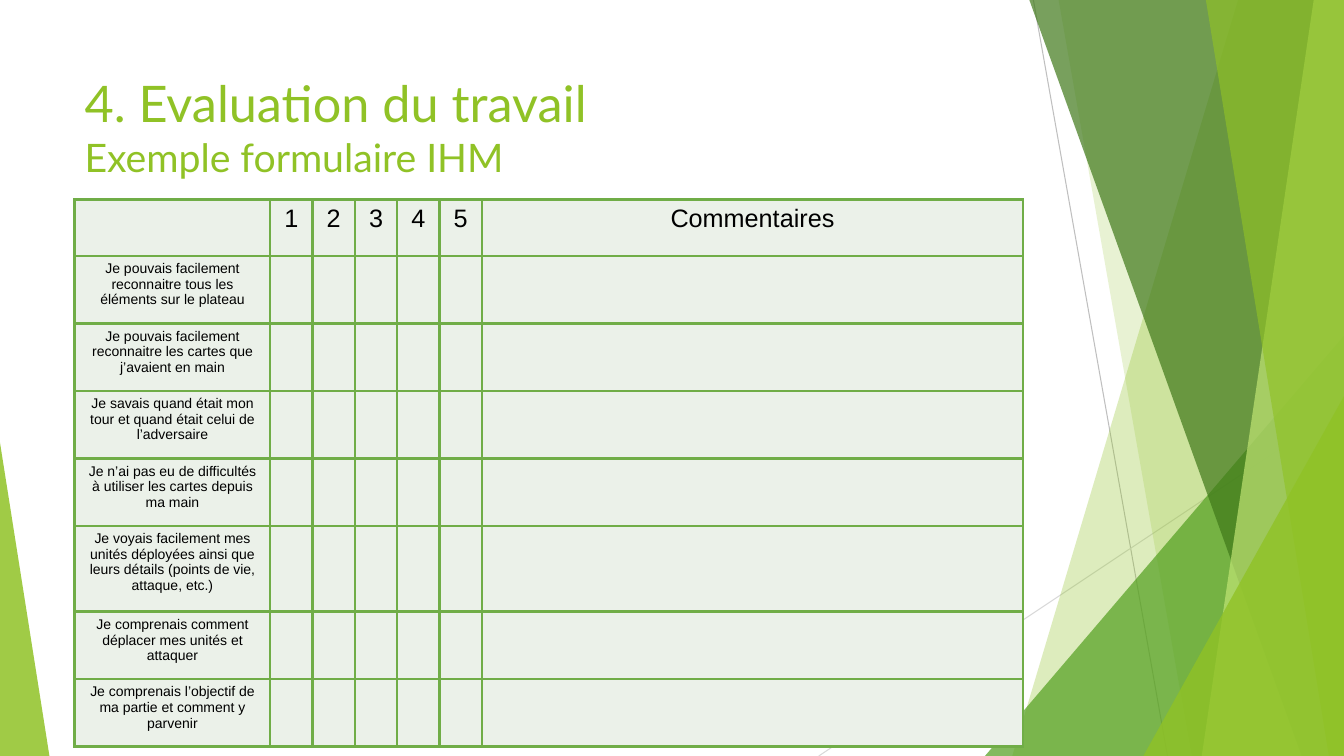
from pptx import Presentation, util as u
from pptx.dml.color import RGBColor
from pptx.enum import text
from pptx.oxml import parse_xml
from pptx.oxml.ns import nsdecls, qn
from lxml import etree

TITLE = [("4. Evaluation du travail", "head"), ("Exemple formulaire IHM", "sub")]
MARKS = ["1", "2", "3", "4", "5"]
NOTES = "Commentaires"
ASKS = [
    "Je pouvais facilement reconnaitre tous les éléments sur le plateau",
    "Je pouvais facilement reconnaitre les cartes que j’avaient en main",
    "Je savais quand était mon tour et quand était celui de l’adversaire",
    "Je n’ai pas eu de difficultés à utiliser les cartes depuis ma main",
    "Je voyais facilement mes unités déployées ainsi que leurs détails (points de vie, attaque, etc.)",
    "Je comprenais comment déplacer mes unités et attaquer",
    "Je comprenais l’objectif de ma partie et comment y parvenir",
]
THEME = {
    "lime": "90C226", "leaf": "54A021", "moss": "3F7819", "pale": "C0E474",
    "grey": "BFBFBF", "mist": "D9D9D9", "cell": "EBF1E9", "rule": "70AD47", "ink": "000000",
    "head": 36, "sub": 28, "top": 18, "ask": 10, "thin": 0.75, "edge": 1.98,
    "title": "Lato", "body": "Arial",
}
WIDE, HIGH = 13.33, 7.5
RAYS = [((76.89, 0), (86.87, 100), "grey"), ((100, 53.73), (60.92, 100), "mist")]
SHARDS = [
    (92.12, 0, 75.32, 100, "lime", 30),
    (78.77, 0, 88.67, 100, "lime", 20),
    (100, 44.4, 73.29, 100, "leaf", 72),
    (76.59, 0, 96.85, 100, "moss", 70),
    (97.75, 0, 89.42, 100, "pale", 70),
    (89.72, 0, 98.87, 100, "lime", 65),
    (100, 52.4, 85.07, 100, "lime", 80),
    (0, 58.53, 3.68, 0, "lime", 85),
]
LEFT, SPAN = 0.74, 9.4
COLS = [1.94] + [0.42] * len(MARKS) + [5.37]
ROWS = [0.56] + [0.85 if ask.startswith("Je voyais") else 0.67 for ask in ASKS]


def tint(name):
    return RGBColor.from_string(THEME[name])


def spot(x, y):
    return u.Inches(WIDE * x / 100), u.Inches(HIGH * y / 100)


def style(font, face, size, hue):
    look = {"name": THEME[face], "size": u.Pt(THEME[size]), "bold": False}
    for key, value in look.items():
        setattr(font, key, value)
    font.color.rgb = tint(hue)


def ray(slide, start, end, hue):
    line = slide.shapes.add_connector(1, *spot(*start), *spot(*end))
    line.line.color.rgb = tint(hue)
    line.line.width = u.Pt(THEME["thin"])
    etree.SubElement(line._element.spPr, qn("a:effectLst"))


def shard(slide, top, rise, base, wall, hue, alpha):
    form = slide.shapes.build_freeform(*spot(top, rise))
    form.add_line_segments([spot(wall, rise), spot(wall, 100), spot(base, 100)], close=True)
    shape = form.convert_to_shape()
    shape.shadow.inherit = False
    shape.fill.solid()
    shape.fill.fore_color.rgb = tint(hue)
    shape.line.fill.background()
    tone = shape._element.spPr.find(".//" + qn("a:srgbClr"))
    etree.SubElement(tone, qn("a:alpha"), val=str(alpha * 1000))


def title(slide):
    box = slide.shapes.add_textbox(*map(u.Inches, (LEFT, 0.67, SPAN, 1.44)))
    box.text_frame.word_wrap = True
    para = box.text_frame.paragraphs[0]
    for place, (words, size) in enumerate(TITLE):
        if place:
            para.add_line_break()
        run = para.add_run()
        run.text = words
        style(run.font, "title", size, "lime")


def edge(cell):
    props = cell._tc.get_or_add_tcPr()
    for place, side in enumerate(("lnL", "lnR", "lnT", "lnB")):
        props.insert(place, parse_xml(
            f'<a:{side} {nsdecls("a")} w="{u.Pt(THEME["edge"])}"><a:solidFill>'
            f'<a:srgbClr val="{THEME["rule"]}"/></a:solidFill></a:{side}>'))


def grid(slide):
    data = [["", *MARKS, NOTES]] + [[ask] + [""] * (len(COLS) - 1) for ask in ASKS]
    area = map(u.Inches, (LEFT, 1.98, sum(COLS), sum(ROWS)))
    table = slide.shapes.add_table(len(ROWS), len(COLS), *area).table
    for col, width in zip(table.columns, COLS):
        col.width = u.Inches(width)
    for r, (row, height) in enumerate(zip(table.rows, ROWS)):
        row.height = u.Inches(height)
        for cell, words in zip(row.cells, data[r]):
            cell.fill.solid()
            cell.fill.fore_color.rgb = tint("cell")
            edge(cell)
            if words:
                para = cell.text_frame.paragraphs[0]
                para.alignment = text.PP_ALIGN.CENTER
                run = para.add_run()
                run.text = words
                style(run.font, "body", "ask" if r else "top", "ink")


def main():
    deck = Presentation()
    deck.slide_width, deck.slide_height = u.Inches(WIDE), u.Inches(HIGH)
    slide = deck.slides.add_slide(deck.slide_layouts[6])
    for item in RAYS:
        ray(slide, *item)
    for item in SHARDS:
        shard(slide, *item)
    title(slide)
    grid(slide)
    deck.save("out.pptx")


if __name__ == "__main__":
    main()
